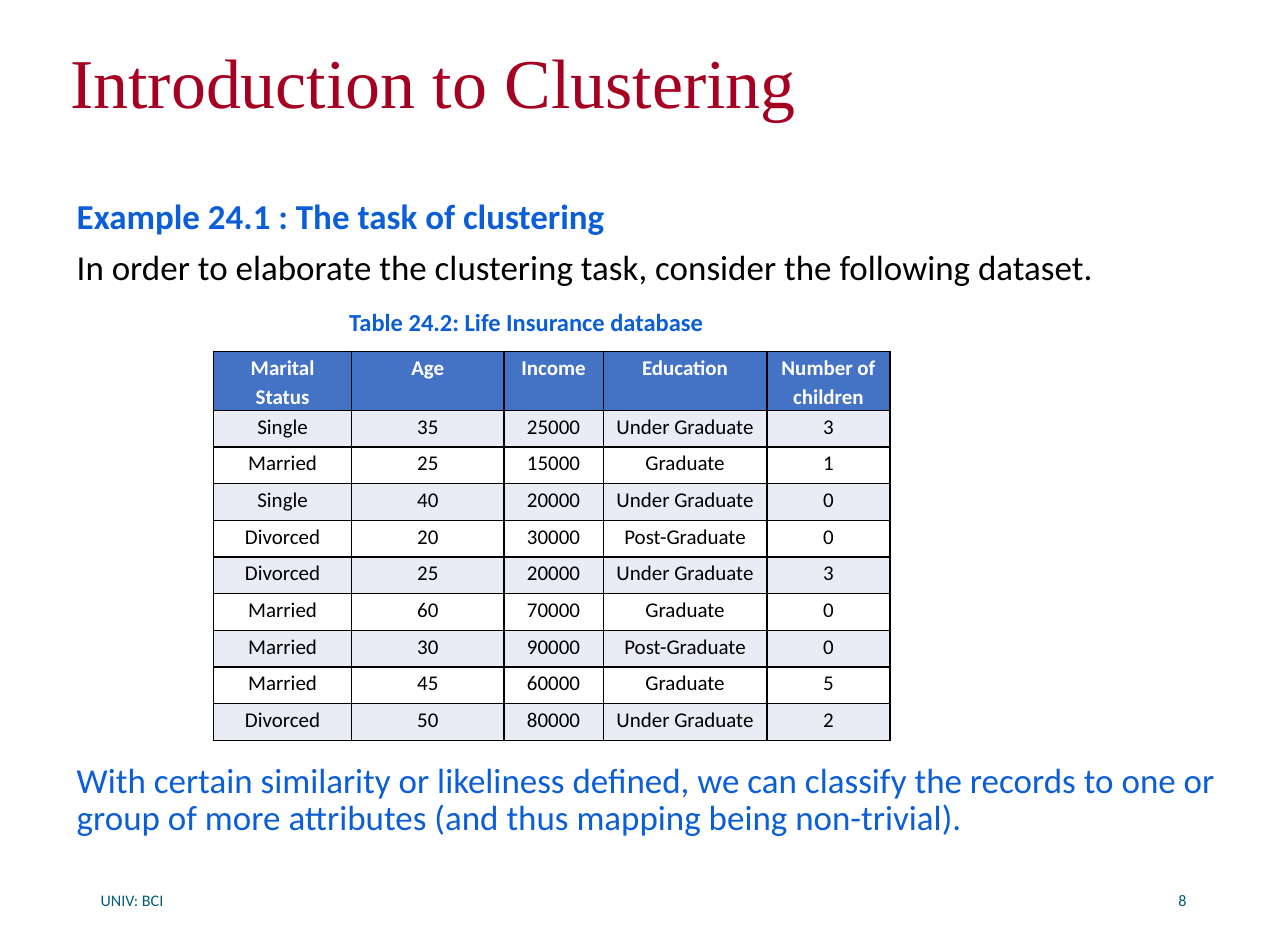
from lxml.etree import SubElement
from pptx import Presentation
from pptx.dml.color import RGBColor as RGB
from pptx.enum.text import MSO_ANCHOR as ANCHOR, PP_ALIGN as ALIGN
from pptx.oxml.ns import qn
from pptx.util import Cm, Pt

COLORS = {"title": "A50021", "accent": "0B5ED7", "text": "000000", "footer": "045D75",
          "header": "4472C4", "band": "E9EBF5", "plain": "FFFFFF", "border": "000000"}


class SlideBuilder:
    font = "Calibri"

    def __init__(self, slide):
        self.slide = slide

    def style(self, paragraph, color, indent=0, font=None, size=20, bold=False, **layout):
        """Format one paragraph; layout holds paragraph attributes."""
        for key, value in layout.items():
            setattr(paragraph, key, value)
        if indent:
            paragraph._p.get_or_add_pPr().set("marL", str(Cm(indent)))
        for run in paragraph.runs:
            for key, value in {"name": font or self.font, "size": Pt(size), "bold": bold}.items():
                setattr(run.font, key, value)
            run.font.color.rgb = RGB.from_string(COLORS[color])

    def text(self, box, paragraphs, anchor=ANCHOR.TOP):
        """Add a text box from (text, format) pairs."""
        frame = self.slide.shapes.add_textbox(*map(Cm, box)).text_frame
        frame.word_wrap, frame.vertical_anchor = True, anchor
        for i, (words, look) in enumerate(paragraphs):
            paragraph = frame.add_paragraph() if i else frame.paragraphs[0]
            paragraph.text = words
            self.style(paragraph, **look)

    def borders(self, cell):
        props = cell._tc.get_or_add_tcPr()
        for side in ("a:lnL", "a:lnR", "a:lnT", "a:lnB"):
            line = SubElement(props, qn(side), w=str(Pt(1)))
            fill = SubElement(line, qn("a:solidFill"))
            SubElement(fill, qn("a:srgbClr"), val=COLORS["border"])

    def cell(self, cell, words, fill, color, bold):
        margins = {"margin_left": Cm(0.18), "margin_right": Cm(0.18),
                   "margin_top": 0, "margin_bottom": 0}
        for key, value in margins.items():
            setattr(cell, key, value)
        cell.text = words
        self.style(cell.text_frame.paragraphs[0], color, size=12, bold=bold,
                   alignment=ALIGN.CENTER, line_spacing=1.15)
        self.borders(cell)
        cell.fill.solid()
        cell.fill.fore_color.rgb = RGB.from_string(COLORS[fill])

    def table(self, left, top, widths, heights, records):
        table = self.slide.shapes.add_table(
            len(records), len(widths),
            *map(Cm, (left, top, sum(widths), sum(heights)))).table
        for column, width in zip(table.columns, widths):
            column.width = Cm(width)
        for r, (record, height) in enumerate(zip(records, heights)):
            table.rows[r].height = Cm(height)
            fill = "header" if r == 0 else "band" if r % 2 else "plain"
            for c, words in enumerate(record):
                self.cell(table.cell(r, c), words, fill,
                          "text" if r else "plain", bold=r == 0)


def main():
    deck = Presentation()
    deck.slide_width, deck.slide_height = Cm(26), Cm(19.05)
    page = SlideBuilder(deck.slides.add_slide(deck.slide_layouts[6]))

    # Title
    page.text((1.17, 0.46, 23.39, 2.54), [
        ("Introduction to Clustering",
         {"color": "title", "font": "Times New Roman", "size": 40, "line_spacing": 0.9}),
    ], ANCHOR.MIDDLE)

    # Introduction and table caption
    body = {"line_spacing": 0.9, "space_before": Pt(7.7)}
    caption = {"size": 14, "indent": 5.5, "space_before": Pt(12.7)}
    page.text((1.3, 3.9, 23.62, 3.1), [
        ("Example 24.1 : The task of clustering", {**body, "color": "accent", "bold": True}),
        ("In order to elaborate the clustering task, consider the following dataset.",
         {**body, "color": "text"}),
        ("Table 24.2: Life Insurance database",
         {**body, **caption, "color": "accent", "bold": True}),
    ])

    # Life insurance records
    records = [
        ("Marital Status", "Age", "Income", "Education", "Number of children"),
        ("Single", "35", "25000", "Under Graduate", "3"),
        ("Married", "25", "15000", "Graduate", "1"),
        ("Single", "40", "20000", "Under Graduate", "0"),
        ("Divorced", "20", "30000", "Post-Graduate", "0"),
        ("Divorced", "25", "20000", "Under Graduate", "3"),
        ("Married", "60", "70000", "Graduate", "0"),
        ("Married", "30", "90000", "Post-Graduate", "0"),
        ("Married", "45", "60000", "Graduate", "5"),
        ("Divorced", "50", "80000", "Under Graduate", "2"),
    ]
    heights = [1.19] + [0.74] * (len(records) - 1)
    page.table(4.31, 7.09, (2.79, 3.07, 2.01, 3.3, 2.49), heights, records)

    # Conclusion
    page.text((1.3, 15.27, 23.62, 1.9), [
        ("With certain similarity or likeliness defined, we can classify the records to one or "
         "group of more attributes (and thus mapping being non-trivial).",
         {**body, "color": "accent"}),
    ])

    # Footer
    for left, words, side in ((1.78, "UNIV: BCI", ALIGN.LEFT), (18.36, "8", ALIGN.RIGHT)):
        page.text((left, 17.65, 5.84, 1.02), [
            (words, {"color": "footer", "size": 9.2, "alignment": side}),
        ], ANCHOR.MIDDLE)

    deck.save("out.pptx")


if __name__ == "__main__":
    main()
